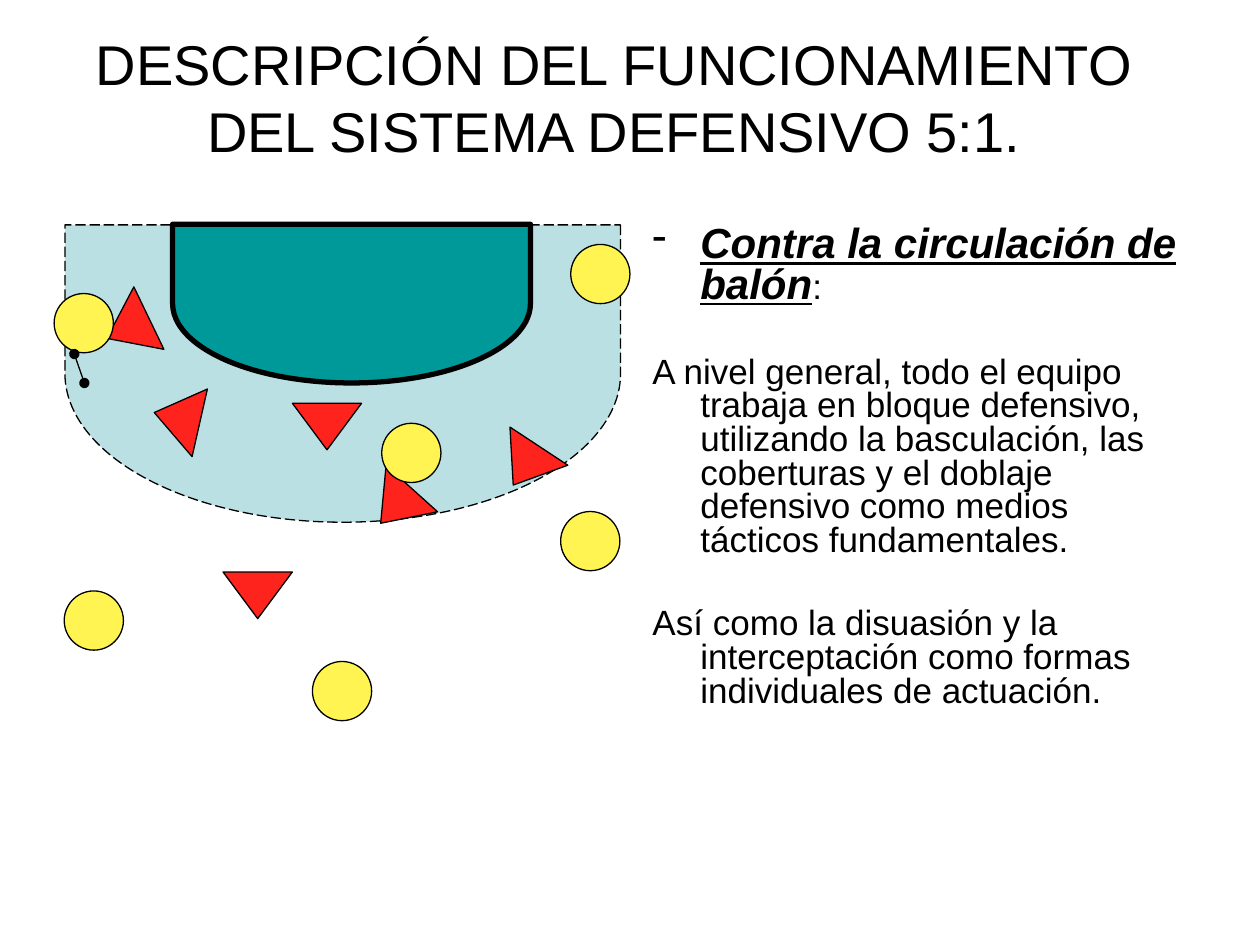
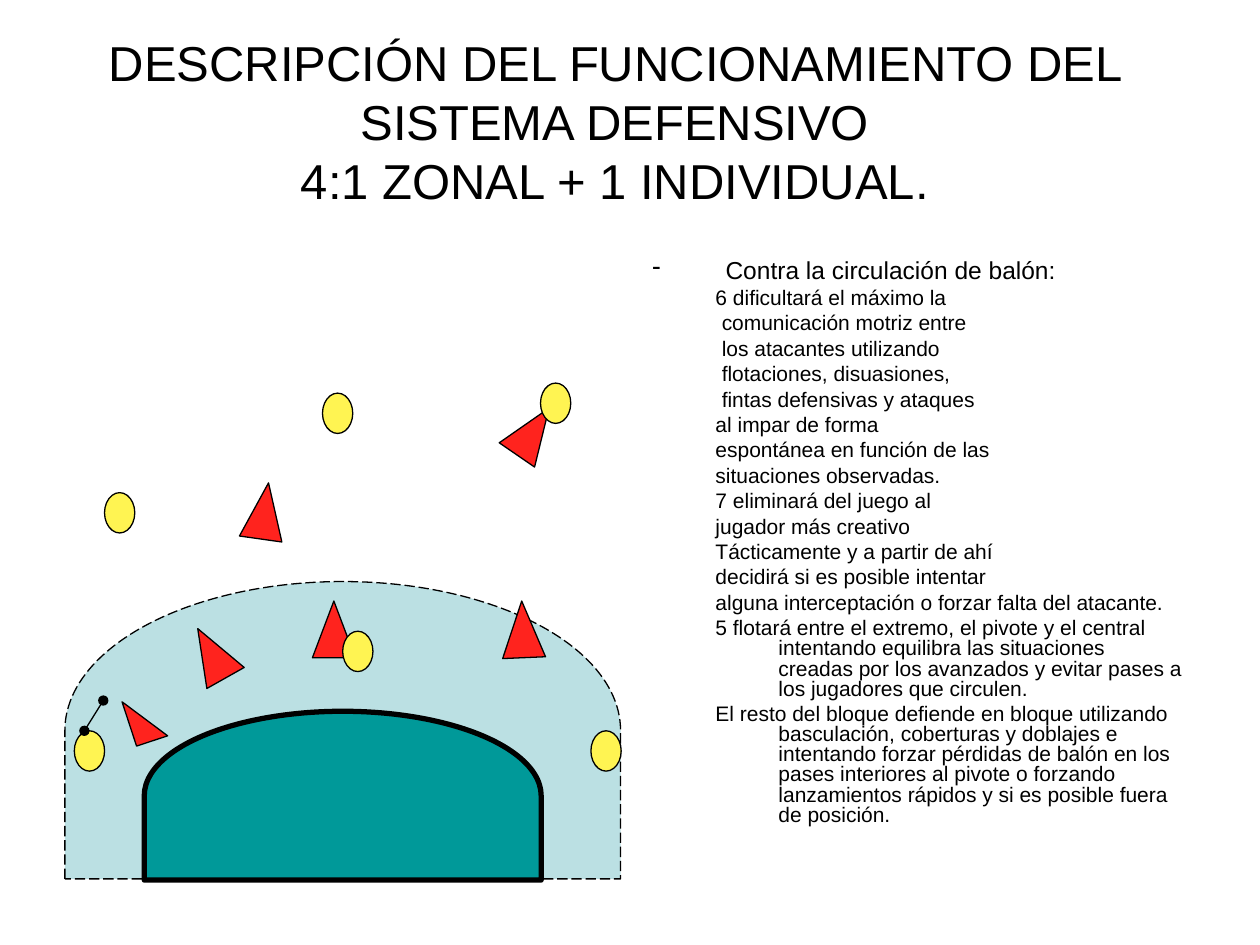
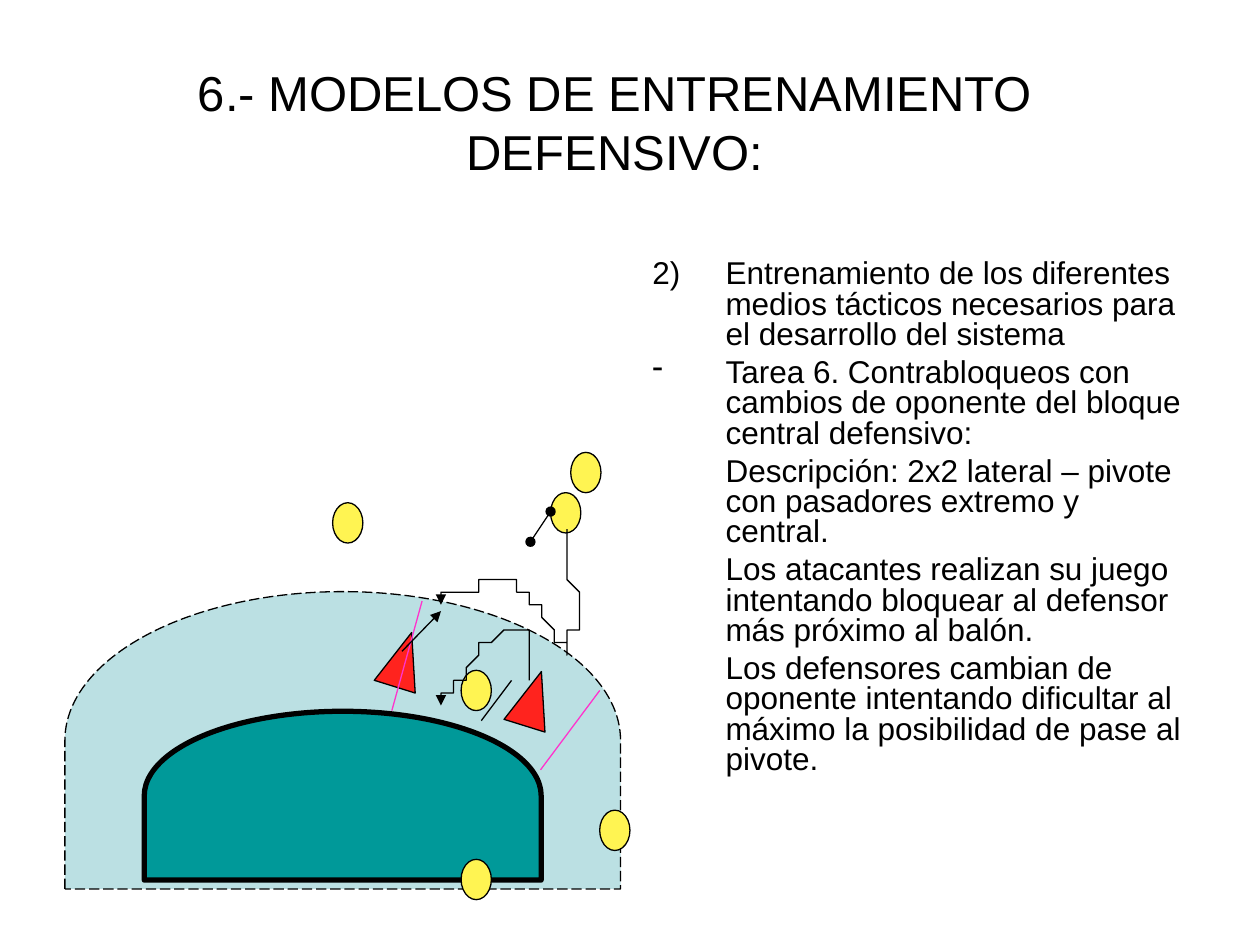
from lxml import etree
from pptx import Presentation
from pptx import util as u
from pptx.dml.color import RGBColor
from pptx.enum import dml, shapes, text
from pptx.oxml import ns

BLACK = RGBColor(0x00, 0x00, 0x00)
OUTER_ZONE = RGBColor(0xBB, 0xE0, 0xE3)
GOAL_AREA = RGBColor(0x00, 0x99, 0x99)
DEFENDER = RGBColor(0xFF, 0x23, 0x1E)
ATTACKER = RGBColor(0xFF, 0xF4, 0x52)
BOUNDARY = RGBColor(0xFF, 0x33, 0xCC)
FONT = "Arial"
SHAPE = shapes.MSO_SHAPE

presentation = Presentation()
presentation.slide_width = u.Inches(10)
presentation.slide_height = u.Inches(7.5)
COLUMNS = 100
CELL = presentation.slide_width // COLUMNS


def write(frame, content, size, align=text.PP_ALIGN.LEFT, margin=0, indent=0,
          spacing=1.0, before=0, bullet=None, emphasis=False):
    first = not frame.paragraphs[0].runs
    paragraph = frame.paragraphs[0] if first else frame.add_paragraph()
    properties = paragraph._p.get_or_add_pPr()
    properties.set("marL", str(round(margin * CELL)))
    properties.set("indent", str(round(indent * CELL)))
    if bullet:
        etree.SubElement(properties, ns.qn("a:buChar")).set("char", bullet)
    else:
        etree.SubElement(properties, ns.qn("a:buNone"))
    paragraph.alignment = align
    paragraph.line_spacing = spacing
    paragraph.space_before = u.Pt(0 if first else before)
    paragraph.text = content
    for run in paragraph.runs:
        run.font.name = FONT
        run.font.size = u.Pt(size)
        run.font.color.rgb = BLACK
        run.font.bold = run.font.italic = run.font.underline = emphasis
    return paragraph


def draw(slide, kind, box, fill, rotation=0, width=0.75):
    shape = slide.shapes.add_shape(kind, *[round(side * CELL) for side in box])
    shape.shadow.inherit = False
    shape.fill.solid()
    shape.fill.fore_color.rgb = fill
    shape.line.color.rgb = BLACK
    shape.line.width = u.Pt(width)
    shape.rotation = rotation
    return shape


TITLE = (5.1, 3, 87.4, 13.2)
BODY = (50.8, 20.2, 44.2, 49.6)
GOAL = (20.5, 47.4, 13.4, 31.5)
TALL = (3.4, 4.5)
WIDE = (5.5, 3.7)
OVAL = (2.4, 3.2)
CIRCLE = (4.7, 4.7)

HEADING = dict(size=20, margin=3.8, indent=-3.8, spacing=0.8)
ITEM = dict(size=18, margin=5.8, indent=-5.8, spacing=0.8, before=4.5)
PLAIN = dict(ITEM, indent=0)
NOTE = dict(size=12, margin=10, indent=-5, spacing=0.8, before=3)
SHIFTED = dict(NOTE, margin=10.5)

boards = [
    dict(
        title="DESCRIPCIÓN DEL FUNCIONAMIENTO DEL SISTEMA DEFENSIVO 5:1.",
        title_size=32, title_box=(5, 3, 87.5, 9.3), body_box=(50.8, 17.5, 44.2, 40.5),
        body=[
            ("Contra la circulación de balón", dict(HEADING, size=24, bullet="-", emphasis=True)),
            ("A nivel general, todo el equipo trabaja en bloque defensivo, utilizando la "
             "basculación, las coberturas y el doblaje defensivo como medios tácticos "
             "fundamentales.", dict(HEADING, before=28.5)),
            ("Así como la disuasión y la interceptación como formas individuales de actuación.",
             dict(HEADING, before=28.5)),
        ],
        zone=(15.4, 7.6, 23.6, 44.1), goal=(21.6, 9.9, 12.6, 28.4), facing=90,
        defender_size=WIDE, attacker_size=CIRCLE,
        defenders=[(7.4, 24.2, 244.3), (11.3, 31.3, 282.8), (23.2, 32, 180),
                   (28.7, 38.3, 222), (39, 35.1, 213.4), (17.7, 45.4, 180)],
        attackers=[(4.3, 23.3), (5.1, 46.9), (30.3, 33.6), (24.8, 52.5),
                   (44.5, 40.6), (45.3, 19.4)],
        lines=[(5.9, 28.1, 6.7, 30.4, BLACK, "oval", "oval")],
        runs=[],
    ),
    dict(
        title="DESCRIPCIÓN DEL FUNCIONAMIENTO DEL SISTEMA DEFENSIVO\v4:1 ZONAL + 1 INDIVIDUAL.",
        title_size=28, title_box=TITLE, body_box=BODY,
        body=[
            ("Contra la circulación de balón:", dict(ITEM, size=14, bullet="-")),
            ("6 dificultará el máximo la", NOTE),
            ("comunicación motriz entre", SHIFTED),
            ("los atacantes utilizando", SHIFTED),
            ("flotaciones, disuasiones,", SHIFTED),
            ("fintas defensivas y ataques", SHIFTED),
            ("al impar de forma", NOTE),
            ("espontánea en función de las", NOTE),
            ("situaciones observadas.", NOTE),
            ("7 eliminará del juego al", NOTE),
            ("jugador más creativo", NOTE),
            ("Tácticamente y a partir de ahí", NOTE),
            ("decidirá si es posible intentar", NOTE),
            ("alguna interceptación o forzar falta del atacante.", NOTE),
            ("5 flotará entre el extremo, el pivote y el central intentando equilibra las "
             "situaciones creadas por los avanzados y evitar pases a los jugadores que "
             "circulen.", NOTE),
            ("El resto del bloque defiende en bloque utilizando basculación, coberturas y "
             "doblajes e intentando forzar pérdidas de balón en los pases interiores al "
             "pivote o forzando lanzamientos rápidos y si es posible fuera de posición.", NOTE),
        ],
        zone=(15.4, 35.9, 23.6, 44.1), goal=GOAL, facing=270,
        defender_size=TALL, attacker_size=OVAL,
        defenders=[(39.8, 47.7, 357.6), (40.6, 32, 34.5), (19.3, 38.3, 8),
                   (24.8, 47.7, 0), (15.1, 49.6, 330.6), (10.2, 55.2, 341.8, (2.6, 3.7), 0)],
        attackers=[(25.6, 31.2), (46.9, 58), (42.9, 30.4), (27.2, 50.1),
                   (5.9, 58), (8.3, 39.1)],
        lines=[(6.7, 58, 8.2, 55.6, BLACK, "oval", "oval")],
        runs=[],
    ),
    dict(
        title="6.- MODELOS DE ENTRENAMIENTO DEFENSIVO:",
        title_size=28, title_box=TITLE, body_box=BODY,
        body=[
            ("2)\tEntrenamiento de los diferentes medios tácticos necesarios para el "
             "desarrollo del sistema", ITEM),
            ("Tarea 6. Contrabloqueos con cambios de oponente del bloque central defensivo:",
             dict(ITEM, bullet="-")),
            ("Descripción: 2x2 lateral – pivote con pasadores extremo y central.", PLAIN),
            ("Los atacantes realizan su juego intentando bloquear al defensor más próximo "
             "al balón.", PLAIN),
            ("Los defensores cambian de oponente intentando dificultar al máximo la "
             "posibilidad de pase al pivote.", PLAIN),
        ],
        zone=(15.4, 36.7, 23.6, 44.1), goal=GOAL, facing=270,
        defender_size=TALL, attacker_size=OVAL,
        defenders=[(30.3, 50.1, 17.3), (40.6, 53.2, 17.3)],
        attackers=[(43.7, 39.1), (36.6, 68.2), (36.6, 53.2), (45.3, 35.9),
                   (47.6, 64.3), (26.4, 39.9)],
        lines=[(42.1, 43, 43.7, 40.6, BLACK, "oval", "oval"),
               (33.5, 47.7, 31.1, 56.4, BOUNDARY, None, None),
               (47.6, 54.8, 42.9, 61.1, BOUNDARY, None, None),
               (31.9, 51.7, 35, 48.5, BLACK, None, "triangle"),
               (40.6, 54, 38.2, 57.2, BLACK, None, None)],
        runs=[
            [(42.1, 54), (42.3, 52.8), (42.5, 51.5), (42.1, 50.9), (41.7, 50.2),
             (40.8, 49.4), (39.8, 50.1), (38.7, 50.8), (36.6, 53.9), (35.8, 54.8),
             (35.1, 55.7), (35, 55.7), (35, 55.6)],
            [(45.3, 42.2), (45.5, 46.4), (45.7, 50.6), (45.3, 51.7), (44.9, 52.7),
             (43.8, 49.4), (42.9, 48.5), (42, 47.6), (41.1, 46.3), (39.8, 46.2),
             (38.4, 46), (36.7, 46.9), (35, 47.7)],
        ],
    ),
]

STEPS = 12
for board in boards:
    slide = presentation.slides.add_slide(presentation.slide_layouts[6])

    title_box = slide.shapes.add_textbox(*[round(side * CELL) for side in board["title_box"]])
    title_box.text_frame.word_wrap = True
    title_box.text_frame.vertical_anchor = text.MSO_ANCHOR.MIDDLE
    write(title_box.text_frame, board["title"], board["title_size"], align=text.PP_ALIGN.CENTER)

    body_box = slide.shapes.add_textbox(*[round(side * CELL) for side in board["body_box"]])
    body_box.text_frame.word_wrap = True
    for content, style in board["body"]:
        paragraph = write(body_box.text_frame, content, **style)
        if style.get("emphasis"):
            colon = paragraph.add_run()
            colon.text = ":"
            colon.font.name = FONT
            colon.font.size = u.Pt(20)
            colon.font.color.rgb = BLACK

    zone = draw(slide, SHAPE.FLOWCHART_DELAY, board["zone"], OUTER_ZONE, board["facing"])
    zone.line.dash_style = dml.MSO_LINE.LONG_DASH
    draw(slide, SHAPE.FLOWCHART_DELAY, board["goal"], GOAL_AREA, board["facing"], width=3)

    for left, top, rotation, *special in board["defenders"]:
        size, apex = special or (board["defender_size"], 0.5)
        defender = draw(slide, SHAPE.ISOSCELES_TRIANGLE, (left, top, *size), DEFENDER, rotation)
        defender.adjustments[0] = apex
    for position in board["attackers"]:
        draw(slide, SHAPE.OVAL, (*position, *board["attacker_size"]), ATTACKER)

    strokes = []
    for *ends, color, head, tail in board["lines"]:
        connector = slide.shapes.add_connector(
            shapes.MSO_CONNECTOR.STRAIGHT, *[round(end * CELL) for end in ends])
        etree.SubElement(connector._element.spPr, ns.qn("a:effectLst"))
        strokes.append((connector, color, head, tail))

    for controls in board["runs"]:
        points = []
        for start in range(0, len(controls) - 1, 3):
            segment = controls[start:start + 4]
            for step in range(1, STEPS + 1):
                t = step / STEPS
                weights = ((1 - t) ** 3, 3 * t * (1 - t) ** 2, 3 * t * t * (1 - t), t ** 3)
                points.append([sum(weight * point[axis] for weight, point in zip(weights, segment))
                               for axis in (0, 1)])
        builder = slide.shapes.build_freeform(*controls[0], scale=CELL)
        builder.add_line_segments(points, close=False)
        movement = builder.convert_to_shape()
        movement.shadow.inherit = False
        movement.fill.background()
        strokes.append((movement, BLACK, None, "triangle"))

    for stroke, color, head, tail in strokes:
        stroke.line.color.rgb = color
        stroke.line.width = u.Pt(0.75)
        outline = stroke.line._get_or_add_ln()
        for tag, kind in (("a:headEnd", head), ("a:tailEnd", tail)):
            if kind:
                etree.SubElement(outline, ns.qn(tag)).set("type", kind)

presentation.save("out.pptx")
